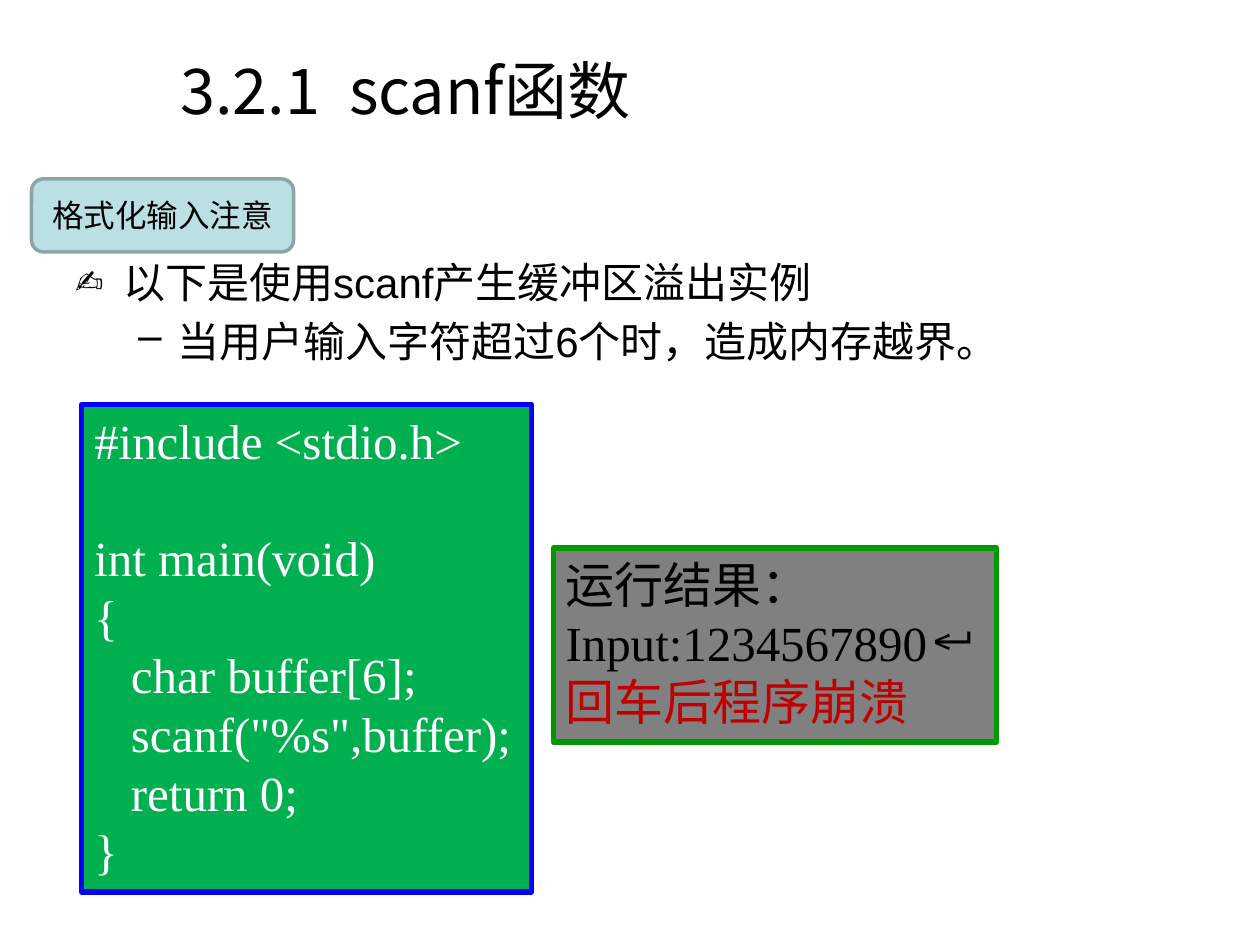
"""Build the slide on scanf buffer overflow."""
from lxml.etree import SubElement
from pptx import Presentation
from pptx.dml.color import RGBColor
from pptx.enum.shapes import MSO_SHAPE
from pptx.enum.text import MSO_ANCHOR, PP_ALIGN
from pptx.oxml.ns import qn
from pptx.util import Inches, Pt

THEME = {
    "title": {"name": "Noto Sans CJK SC", "size": Pt(36)},
    "body": {"name": "Arial", "size": Pt(24)},
    "tag": {"name": "Arial", "size": Pt(18)},
    "code": {"name": "Times New Roman", "size": Pt(28)},
    "pitch": Pt(33.5),
    "black": "000000", "white": "FFFFFF", "red": "C00000",
    "code_fill": "00B050", "code_line": "0000FF",
    "result_fill": "808080", "result_line": "009900",
    "tag_fill": "BBE0E3", "tag_line": "8AA6A8",
}

prs = Presentation()
prs.slide_width, prs.slide_height = Inches(10), Inches(7.5)
s = prs.slides.add_slide(prs.slide_layouts[5])


def area(x, y, w, h):
    """Turn percentages of the slide into lengths."""
    return [int(side * pct / 100) for side, pct in
            zip((prs.slide_width, prs.slide_height) * 2, (x, y, w, h))]


def write(p, text, style, color):
    """Set the text and font of a paragraph."""
    r = p.add_run()
    r.text = text
    for key, value in THEME[style].items():
        setattr(r.font, key, value)
    r.font.color.rgb = RGBColor.from_string(THEME[color])


title = s.shapes.title
for key, value in zip(("left", "top", "width", "height"), area(13.3, 3.33, 81.7, 12.27)):
    setattr(title, key, value)
title.text_frame.vertical_anchor = MSO_ANCHOR.MIDDLE
p = title.text_frame.paragraphs[0]
p.alignment = PP_ALIGN.LEFT
tabs = SubElement(p._p.get_or_add_pPr(), qn("a:tabLst"))
SubElement(tabs, qn("a:tab"), pos=str(Inches(1.34)), algn="l")
write(p, "3.2.1\tscanf函数", "title", "black")

tf = s.shapes.add_textbox(*area(5, 26.53, 90, 18.93)).text_frame
tf.word_wrap = True
points = [
    ("以下是使用scanf产生缓冲区溢出实例", "✍", 0.38, 0.38, 0),
    ("当用户输入字符超过6个时，造成内存越界。", "–", 0.81, 0.31, 4.8),
]
for i, (text, bullet, margin, hang, before) in enumerate(points):
    p = tf.add_paragraph() if i else tf.paragraphs[0]
    p.level = i
    p.space_before = Pt(before)
    pPr = p._p.get_or_add_pPr()
    pPr.set("marL", str(Inches(margin)))
    pPr.set("indent", str(-Inches(hang)))
    SubElement(pPr, qn("a:buChar"), char=bullet)
    write(p, text, "body", "black")

code = [
    ("#include <stdio.h>", "white", 0),
    ("int main(void)", "white", THEME["pitch"]),
    ("{", "white", 0),
    ("   char buffer[6];", "white", 0),
    ('   scanf("%s",buffer);', "white", 0),
    ("   return 0;", "white", 0),
    ("}", "white", 0),
]
result = [
    ("运行结果：", "black", 0),
    ("Input:1234567890↵", "black", 0),
    ("回车后程序崩溃", "red", 0),
]
tag = [("格式化输入注意", "black", 0)]
panels = [
    ("code", MSO_SHAPE.RECTANGLE, (6.5, 42.8, 35.7, 51.6), 3, "code", code),
    ("result", MSO_SHAPE.RECTANGLE, (43.9, 58, 35.2, 20.53), 3, "code", result),
    ("tag", MSO_SHAPE.ROUNDED_RECTANGLE, (2.5, 18.93, 20.8, 7.73), 2, "tag", tag),
]
for name, kind, place, weight, style, lines in panels:
    sp = s.shapes.add_shape(kind, *area(*place))
    sp.shadow.inherit = False
    sp.fill.solid()
    sp.fill.fore_color.rgb = RGBColor.from_string(THEME[name + "_fill"])
    sp.line.color.rgb = RGBColor.from_string(THEME[name + "_line"])
    sp.line.width = Pt(weight)
    tf = sp.text_frame
    tf.word_wrap = True
    tf.vertical_anchor = MSO_ANCHOR.MIDDLE if name == "tag" else MSO_ANCHOR.TOP
    for i, (text, color, before) in enumerate(lines):
        p = tf.add_paragraph() if i else tf.paragraphs[0]
        p.alignment = PP_ALIGN.CENTER if name == "tag" else PP_ALIGN.LEFT
        p.space_before = before
        if name != "tag":
            p.line_spacing = THEME["pitch"]
        write(p, text, style, color)

prs.save("out.pptx")
